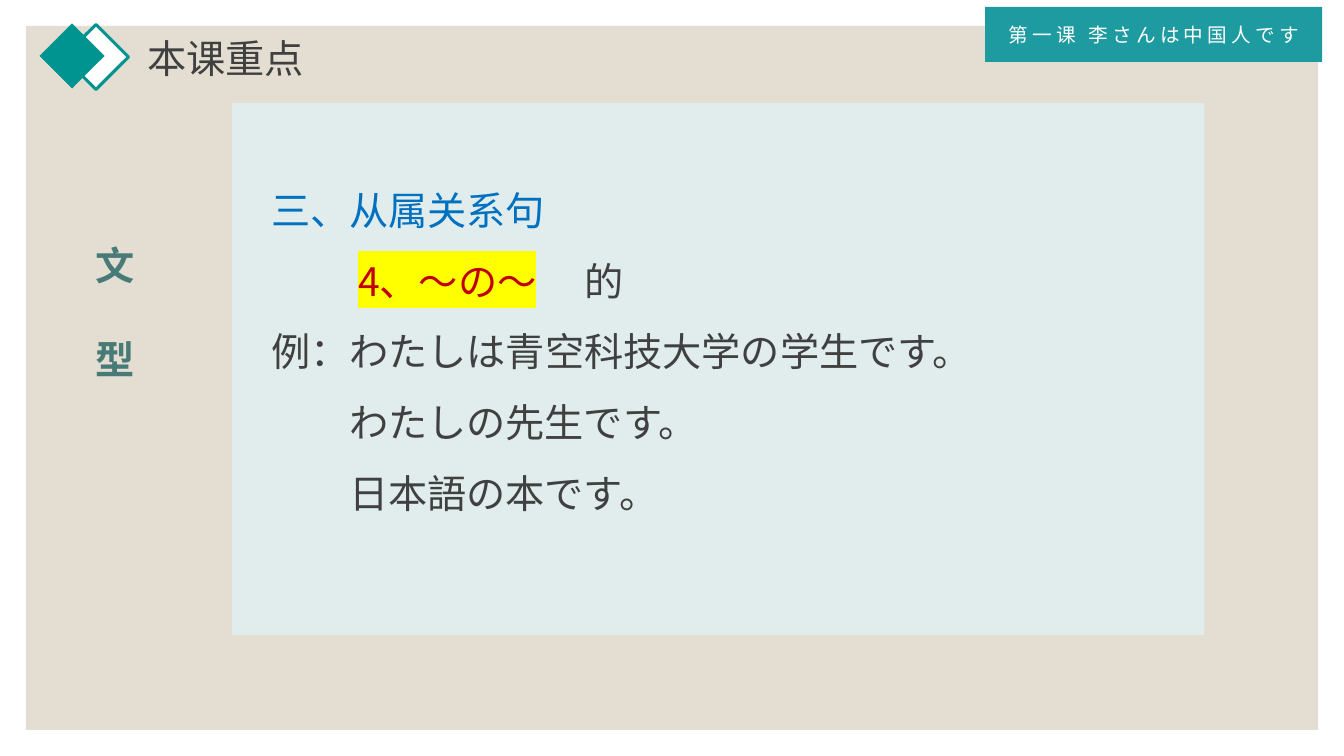
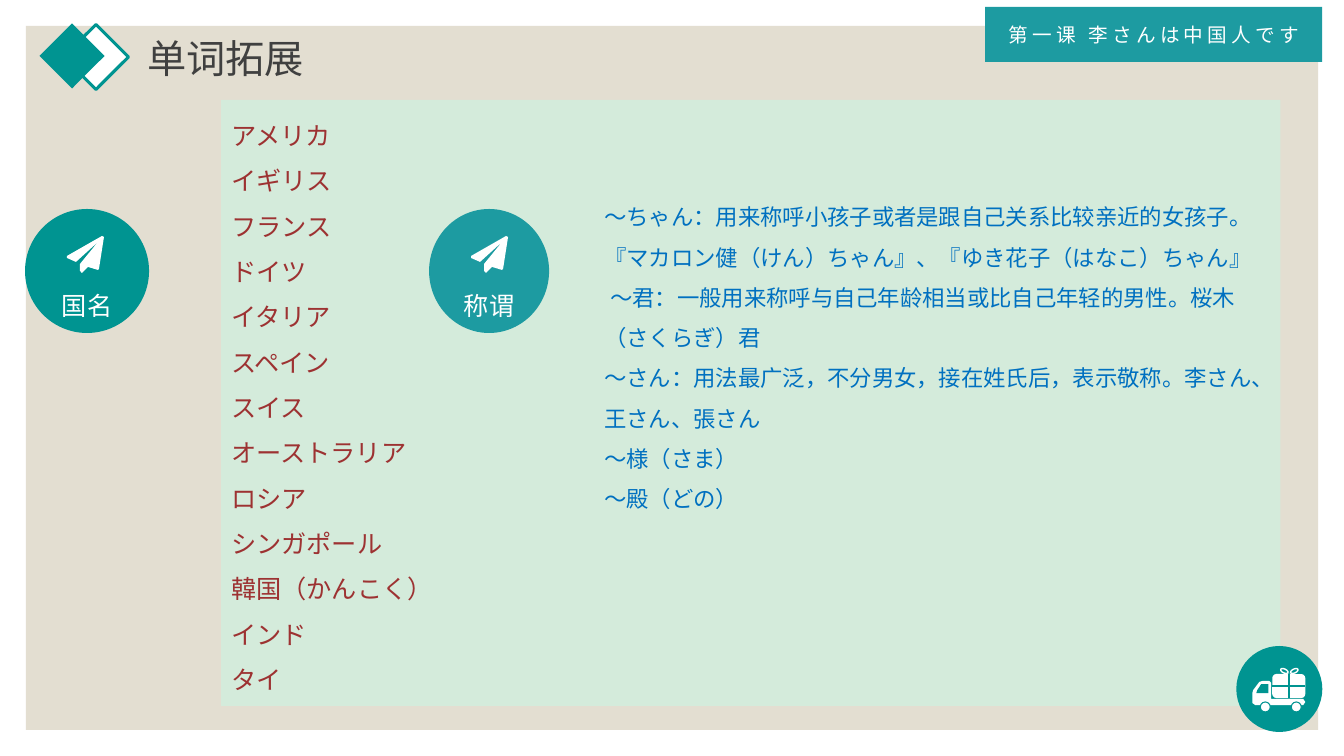
import pptx
import pptx.util
import pptx.dml.color
import pptx.enum.shapes
import pptx.enum.text
import pptx.oxml.ns
from dataclasses import dataclass
from lxml import etree

SCALE = 914400 / 100.8
SHAPE = pptx.enum.shapes.MSO_SHAPE
ALIGN = pptx.enum.text.PP_ALIGN
ANCHOR = pptx.enum.text.MSO_ANCHOR
qn = pptx.oxml.ns.qn


@dataclass(frozen=True)
class Theme:
    font: str = "Noto Sans CJK SC"
    sand: str = "E3DED1"
    teal: str = "009491"
    banner: str = "1D9BA1"
    white: str = "FFFFFF"
    ink: str = "404040"
    blue: str = "0070C0"
    red: str = "C00000"
    yellow: str = "FFFF00"
    sage: str = "487B78"
    maroon: str = "9D3232"
    pale_blue: str = "E0EDEC"
    pale_green: str = "D4EBDB"
    heading: int = 28
    word: int = 18
    note: int = 16
    lesson: int = 14


THEME = Theme()


def px(value):
    return round(value * SCALE)


def rgb(colour):
    return pptx.dml.color.RGBColor.from_string(colour)


def paint(shape, fill=None, line=None, weight=1):
    shape.shadow.inherit = False
    if fill:
        shape.fill.solid()
        shape.fill.fore_color.rgb = rgb(fill)
    else:
        shape.fill.background()
    if line:
        shape.line.color.rgb = rgb(line)
        shape.line.width = pptx.util.Pt(weight)
    else:
        shape.line.fill.background()
    return shape


def add_block(slide, kind, box, fill=None, turn=0, **outline):
    block = slide.shapes.add_shape(kind, *map(px, box))
    block.rotation = turn
    return paint(block, fill, **outline)


def add_outline(slide, left, top, points, fill):
    corners = [(px(left + x), px(top + y)) for x, y in points]
    builder = slide.shapes.build_freeform(*corners[0])
    builder.add_line_segments(corners[1:], close=True)
    return paint(builder.convert_to_shape(), fill)


def add_rule(slide, start, end, colour, weight):
    rule = slide.shapes.add_connector(
        pptx.enum.shapes.MSO_CONNECTOR.STRAIGHT, *map(px, start + end))
    rule.line.color.rgb = rgb(colour)
    rule.line.width = pptx.util.Pt(weight)
    etree.SubElement(rule._element.spPr, qn("a:effectLst"))


def add_label(slide, box, paragraphs, **format):
    label = slide.shapes.add_textbox(*map(px, box))
    write_text(label, paragraphs, **format)


def format_run(run, size, colour, bold=False, spacing=0, highlight=None):
    run.font.size = pptx.util.Pt(size)
    run.font.bold = bold
    run.font.color.rgb = rgb(colour)
    properties = run.font._element
    if highlight:
        mark = etree.SubElement(properties, qn("a:highlight"))
        etree.SubElement(mark, qn("a:srgbClr"), val=highlight)
    for script in ("a:latin", "a:ea"):
        etree.SubElement(properties, qn(script), typeface=THEME.font)
    if spacing:
        properties.set("spc", str(spacing * 100))


def write_text(shape, paragraphs, align=ALIGN.LEFT, anchor=ANCHOR.TOP,
               line_spacing=1.0, space_before=0, insets=(10, 5, 10, 5),
               indents=(), tab=None, **font):
    frame = shape.text_frame
    frame.word_wrap = True
    frame.auto_size = pptx.enum.text.MSO_AUTO_SIZE.NONE
    frame.vertical_anchor = anchor
    (frame.margin_left, frame.margin_top,
     frame.margin_right, frame.margin_bottom) = map(px, insets)
    for index, content in enumerate(paragraphs):
        paragraph = frame.paragraphs[0] if index == 0 else frame.add_paragraph()
        paragraph.alignment = align
        paragraph.line_spacing = line_spacing
        if index and space_before:
            paragraph.space_before = pptx.util.Pt(space_before)
        properties = paragraph._p.get_or_add_pPr()
        if indents:
            properties.set("marL", "0")
            properties.set("indent", str(px(indents[index])))
        runs = [(content, {})] if isinstance(content, str) else content
        if tab and any("\t" in text for text, _ in runs):
            stops = etree.SubElement(properties, qn("a:tabLst"))
            etree.SubElement(stops, qn("a:tab"), pos=str(px(tab)), algn="l")
        for text, changes in runs:
            run = paragraph.add_run()
            run.text = text
            format_run(run, **{**font, **changes})


def add_backdrop(slide):
    backdrop = add_block(slide, SHAPE.RECTANGLE, (26, 26, 1292, 704), THEME.sand)
    slide.slide_layout.shapes._spTree.insert(2, backdrop._element)


def add_header(slide, heading):
    add_block(slide, SHAPE.RECTANGLE, (73, 34, 46, 46), THEME.white,
              turn=315, line=THEME.teal, weight=2.25)
    add_block(slide, SHAPE.RECTANGLE, (49, 33, 46, 46), THEME.teal, turn=315)
    title = slide.shapes.title
    title.left, title.top, title.width, title.height = map(px, (137, 29, 230, 57))
    write_text(title, [heading], size=THEME.heading, colour=THEME.ink)


def add_lesson_banner(slide):
    banner = add_block(slide, SHAPE.RECTANGLE, (985, 7, 337, 55), THEME.banner)
    write_text(banner, ["第一课 李さんは中国人です"], align=ALIGN.CENTER,
               anchor=ANCHOR.MIDDLE, size=THEME.lesson, colour=THEME.white,
               spacing=3)


def add_topic(slide, left, width, name, fill):
    add_block(slide, SHAPE.OVAL, (left, 209, width, 124), fill)
    plane = [(37, 1), (32, 33), (31, 34), (21, 31), (15, 37), (13, 35),
             (13, 28), (31, 6), (9, 26), (0, 22), (0, 20), (35, 0)]
    add_outline(slide, left + 42, 236, plane, THEME.white)
    add_label(slide, (left + 10, 279, width - 20, 46), [name],
              align=ALIGN.CENTER, line_spacing=1.2, size=THEME.word,
              colour=THEME.white)


def add_gift_truck(slide):
    left, top = 1252, 666
    add_block(slide, SHAPE.OVAL, (1236, 646, 86, 86), THEME.teal)
    body = [(0, 27), (1, 24), (7, 16), (10, 15), (17, 15), (19, 17), (19, 33),
            (51, 33), (53, 36), (51, 39), (3, 39), (0, 37)]
    window = [(4, 27), (5, 24), (9, 18), (16, 18), (16, 27)]
    add_outline(slide, left, top, body, THEME.white)
    add_outline(slide, left, top, window, THEME.teal)
    for wheel in (8, 39):
        add_block(slide, SHAPE.OVAL, (left + wheel, top + 36, 10, 10),
                  THEME.white, line=THEME.teal, weight=0.75)
    add_block(slide, SHAPE.ROUNDED_RECTANGLE, (left + 20, top + 8, 33, 24),
              THEME.white)
    add_rule(slide, (left + 37, top + 8), (left + 37, top + 32), THEME.teal, 1.25)
    add_rule(slide, (left + 20, top + 20), (left + 53, top + 20), THEME.teal, 1.25)
    for loop, turn in ((28, 25), (38, -25)):
        add_block(slide, SHAPE.OVAL, (left + loop, top + 3, 8, 4), turn=turn,
                  line=THEME.white, weight=1)


def fill_key_points(slide):
    add_header(slide, "本课重点")
    pattern = [
        ("4、～の～", {"colour": THEME.red, "highlight": THEME.yellow}),
        ("\t的", {}),
    ]
    sentences = [
        [("三、从属关系句", {"colour": THEME.blue})],
        pattern,
        "例：わたしは青空科技大学の学生です。",
        "わたしの先生です。",
        "日本語の本です。",
    ]
    panel = add_block(slide, SHAPE.RECTANGLE, (232, 103, 972, 532),
                      THEME.pale_blue)
    write_text(panel, sentences, line_spacing=1.5, insets=(0, 60, 0, 0),
               indents=(39, 126, 39, 117, 117), tab=510,
               size=THEME.heading, colour=THEME.ink)
    add_lesson_banner(slide)
    add_label(slide, (86, 236, 70, 176), ["文", "型"], space_before=33.6,
              size=THEME.heading, colour=THEME.sage, bold=True)


def fill_vocabulary(slide):
    add_header(slide, "单词拓展")
    countries = ["アメリカ", "イギリス", "フランス", "ドイツ", "イタリア",
                 "スペイン", "スイス", "オーストラリア", "ロシア",
                 "シンガポール", "韓国（かんこく）", "インド", "タイ"]
    honorifics = [
        "～ちゃん：用来称呼小孩子或者是跟自己关系比较亲近的女孩子。"
        "『マカロン健（けん）ちゃん』、『ゆき花子（はなこ）ちゃん』",
        "～君：一般用来称呼与自己年龄相当或比自己年轻的男性。桜木（さくらぎ）君",
        "～さん：用法最广泛，不分男女，接在姓氏后，表示敬称。"
        "李さん、王さん、張さん",
        "～様（さま）",
        "～殿（どの）",
    ]
    panel = add_block(slide, SHAPE.RECTANGLE, (221, 100, 1059, 606),
                      THEME.pale_green)
    write_text(panel, countries, line_spacing=1.5, size=THEME.word,
               colour=THEME.maroon)
    add_lesson_banner(slide)
    add_gift_truck(slide)
    add_label(slide, (594, 185, 668, 336), honorifics, line_spacing=1.5,
              indents=(0, 6, 0, 0, 0), size=THEME.note, colour=THEME.blue)
    add_topic(slide, 25, 124, "国名", THEME.teal)
    add_topic(slide, 429, 120, "称谓", THEME.banner)


def main():
    deck = pptx.Presentation()
    deck.slide_width = pptx.util.Inches(13.33)
    deck.slide_height = pptx.util.Inches(7.5)
    title_only = deck.slide_layouts[5]
    key_points, vocabulary = (deck.slides.add_slide(title_only) for _ in range(2))
    add_backdrop(key_points)
    fill_key_points(key_points)
    fill_vocabulary(vocabulary)
    deck.save("out.pptx")


main()
